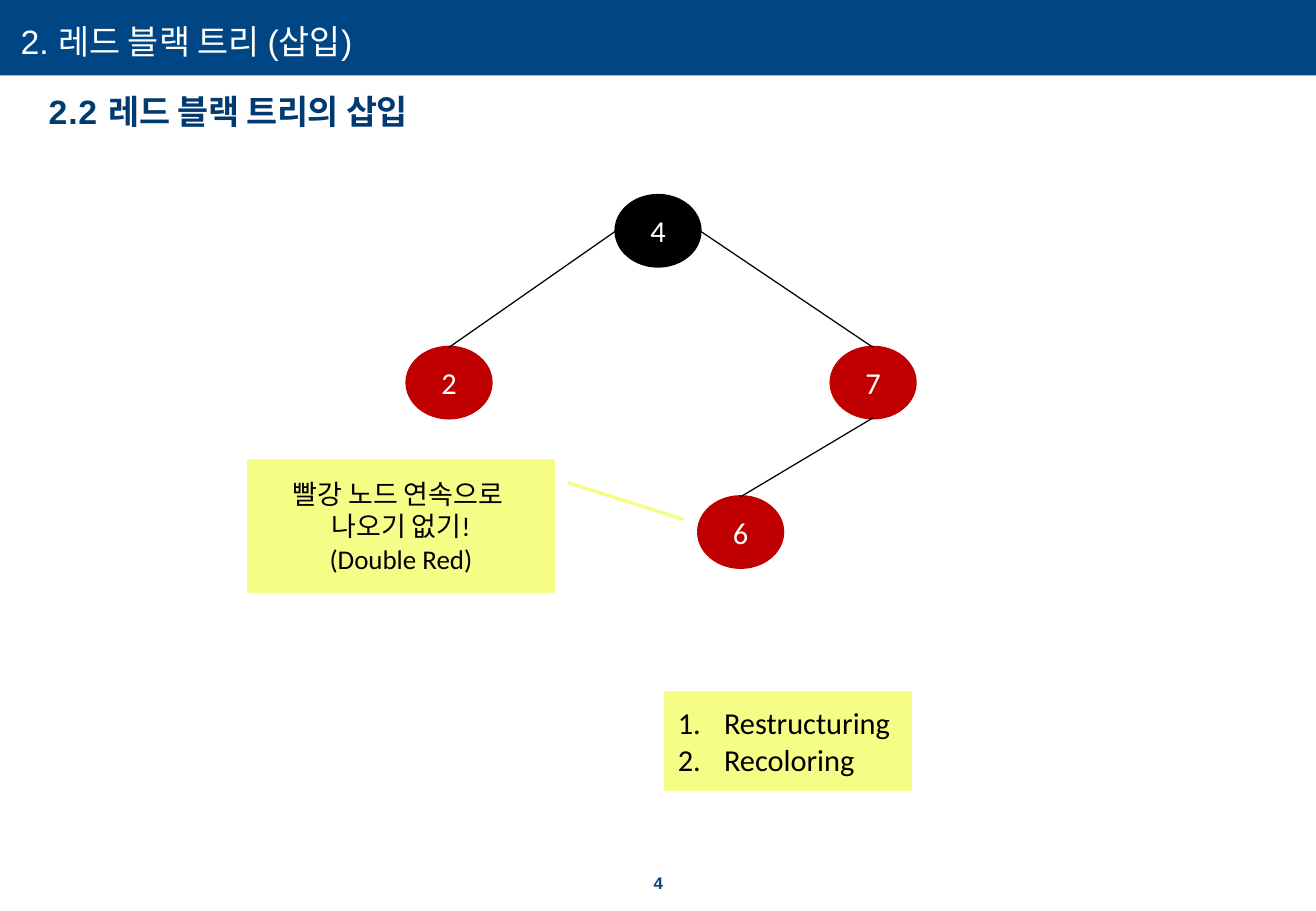
from dataclasses import dataclass

import lxml.etree
import pptx
import pptx.dml.color
import pptx.enum.shapes
import pptx.enum.text
import pptx.oxml.ns
import pptx.util

Inches = pptx.util.Inches
Pt = pptx.util.Pt
ShapeKind = pptx.enum.shapes.MSO_SHAPE
Align = pptx.enum.text.PP_ALIGN
Anchor = pptx.enum.text.MSO_ANCHOR
qn = pptx.oxml.ns.qn


@dataclass(frozen=True)
class Theme:
    banner: str = "004685"
    heading: str = "003A70"
    white: str = "FFFFFF"
    black: str = "000000"
    red: str = "C00000"
    note: str = "F5FD87"
    heading_font: str = "Arial"
    body_font: str = "Calibri"
    heading_size: int = 20
    body_size: int = 18
    note_size: int = 16
    page_size: int = 10


@dataclass(frozen=True)
class Box:
    left: float
    top: float
    width: float
    height: float

    def lengths(self):
        return [Inches(v) for v in (self.left, self.top, self.width, self.height)]


@dataclass(frozen=True)
class Node:
    label: str
    left: float
    top: float
    color: str
    width: float = 0.69
    height: float = 0.58

    def point(self, across: float, down: float) -> tuple[float, float]:
        return self.left + across * self.width, self.top + down * self.height


@dataclass(frozen=True)
class Edge:
    start: tuple[float, float]
    end: tuple[float, float]


THEME = Theme()
SLIDE_WIDTH, SLIDE_HEIGHT = 10.83, 7.5
LEFT, RIGHT, TOP, BOTTOM = (0, 0.5), (1, 0.5), (0.5, 0), (0.5, 1)

ROOT = Node("4", 5.07, 1.61, THEME.black)
LEFT_CHILD = Node("2", 3.35, 2.86, THEME.red)
RIGHT_CHILD = Node("7", 6.84, 2.86, THEME.red)
GRANDCHILD = Node("6", 5.75, 4.09, THEME.red)
NODES = (ROOT, LEFT_CHILD, RIGHT_CHILD, GRANDCHILD)
EDGES = (
    Edge(ROOT.point(*LEFT), LEFT_CHILD.point(*TOP)),
    Edge(RIGHT_CHILD.point(*BOTTOM), GRANDCHILD.point(*TOP)),
    Edge(ROOT.point(*RIGHT), RIGHT_CHILD.point(*TOP)),
)


def rgb(color: str):
    return pptx.dml.color.RGBColor.from_string(color)


def style(para, size: float, color: str, name: str, bold: bool = False) -> None:
    para.font.size = Pt(size)
    para.font.name = name
    para.font.bold = bold
    para.font.color.rgb = rgb(color)


def add_spaced_run(para, text: str, spacing: float) -> None:
    span = para.add_run()
    span.text = text
    span.font._element.set("spc", str(round(spacing * 100)))


def clear_frame(frame) -> None:
    frame.margin_left = frame.margin_top = 0
    frame.margin_right = frame.margin_bottom = 0
    frame.vertical_anchor = Anchor.TOP
    frame.word_wrap = True
    frame.auto_size = pptx.enum.text.MSO_AUTO_SIZE.NONE


def indent(para, left: float, first: float = 0) -> None:
    properties = para._p.get_or_add_pPr()
    properties.set("marL", str(Inches(left)))
    properties.set("indent", str(Inches(first)))


def number(para) -> None:
    indent(para, 0.38, -0.38)
    marker = lxml.etree.SubElement(para._p.get_or_add_pPr(), qn("a:buAutoNum"))
    marker.set("type", "arabicPeriod")


def add_filled(slide, kind, box: Box, color: str):
    shape = slide.shapes.add_shape(kind, *box.lengths())
    shape.shadow.inherit = False
    shape.fill.solid()
    shape.fill.fore_color.rgb = rgb(color)
    shape.line.color.rgb = rgb(color)
    shape.line.width = Pt(2)
    shape.text_frame.vertical_anchor = Anchor.MIDDLE
    return shape


def add_lines(shape, lines: list[str], size: float, color: str, numbered: bool = False) -> None:
    frame = shape.text_frame
    frame.text = "\n".join(lines)
    for para in frame.paragraphs:
        para.alignment = Align.LEFT if numbered else Align.CENTER
        if numbered:
            number(para)
        style(para, size, color, THEME.body_font)


def add_title(slide) -> None:
    title = slide.shapes.title
    title.left, title.top, title.width, title.height = Box(0.16, 0.17, 5.37, 0.34).lengths()
    clear_frame(title.text_frame)
    title.text_frame.text = "2. 레드 블랙 트리 (삽입)"
    para = title.text_frame.paragraphs[0]
    para.alignment = Align.LEFT
    indent(para, 0.01)
    style(para, THEME.heading_size, THEME.white, THEME.heading_font)


def add_text(slide, box: Box, spans: list[tuple[str, float]], left: float, size: float, color: str):
    frame = slide.shapes.add_textbox(*box.lengths()).text_frame
    clear_frame(frame)
    para = frame.paragraphs[0]
    indent(para, left)
    for text, spacing in spans:
        add_spaced_run(para, text, spacing)
    style(para, size, color, THEME.heading_font, bold=True)
    return para


def add_node(slide, node: Node) -> None:
    box = Box(node.left, node.top, node.width, node.height)
    circle = add_filled(slide, ShapeKind.OVAL, box, node.color)
    add_lines(circle, [node.label], THEME.body_size, THEME.white)


def add_edge(slide, edge: Edge) -> None:
    ends = [Inches(v) for v in (*edge.start, *edge.end)]
    line = slide.shapes.add_connector(pptx.enum.shapes.MSO_CONNECTOR.STRAIGHT, *ends)
    line.line.color.rgb = rgb(THEME.black)
    line.line.width = Pt(0.75)
    lxml.etree.SubElement(line._element.spPr, qn("a:effectLst"))


def main() -> None:
    deck = pptx.Presentation()
    deck.slide_width, deck.slide_height = Inches(SLIDE_WIDTH), Inches(SLIDE_HEIGHT)
    slide = deck.slides.add_slide(deck.slide_layouts.get_by_name("Title Only"))

    banner = add_filled(slide, ShapeKind.RECTANGLE, Box(0, 0, SLIDE_WIDTH, 0.62), THEME.banner)
    banner.line.fill.background()
    slide.shapes._spTree.insert(2, banner._element)
    add_title(slide)

    page = add_text(slide, Box(5.31, 7.2, 0.22, 0.15), [("4", 0.5)], 0.07, THEME.page_size, THEME.banner)
    page.line_spacing = Pt(10.9)
    heading = [("2.2 ", 0.5), ("레드 블랙 트리의 삽입", -0.2)]
    add_text(slide, Box(0.39, 0.75, 6.61, 0.34), heading, 0.01, THEME.heading_size, THEME.heading)

    for node in NODES:
        add_node(slide, node)
    for edge in EDGES:
        add_edge(slide, edge)

    callout = add_filled(slide, ShapeKind.LINE_CALLOUT_1, Box(2.05, 3.79, 2.5, 1.08), THEME.note)
    for index, value in enumerate((0.17, 1.05, 0.45, 1.43)):
        callout.adjustments[index] = value
    warning = ["빨강 노드 연속으로 ", "나오기 없기!", "(Double Red)"]
    add_lines(callout, warning, THEME.note_size, THEME.black)

    remedies = add_filled(slide, ShapeKind.FLOWCHART_PROCESS, Box(5.48, 5.7, 2.01, 0.8), THEME.note)
    add_lines(remedies, ["Restructuring", "Recoloring"], THEME.body_size, THEME.black, numbered=True)

    deck.save("out.pptx")


if __name__ == "__main__":
    main()
